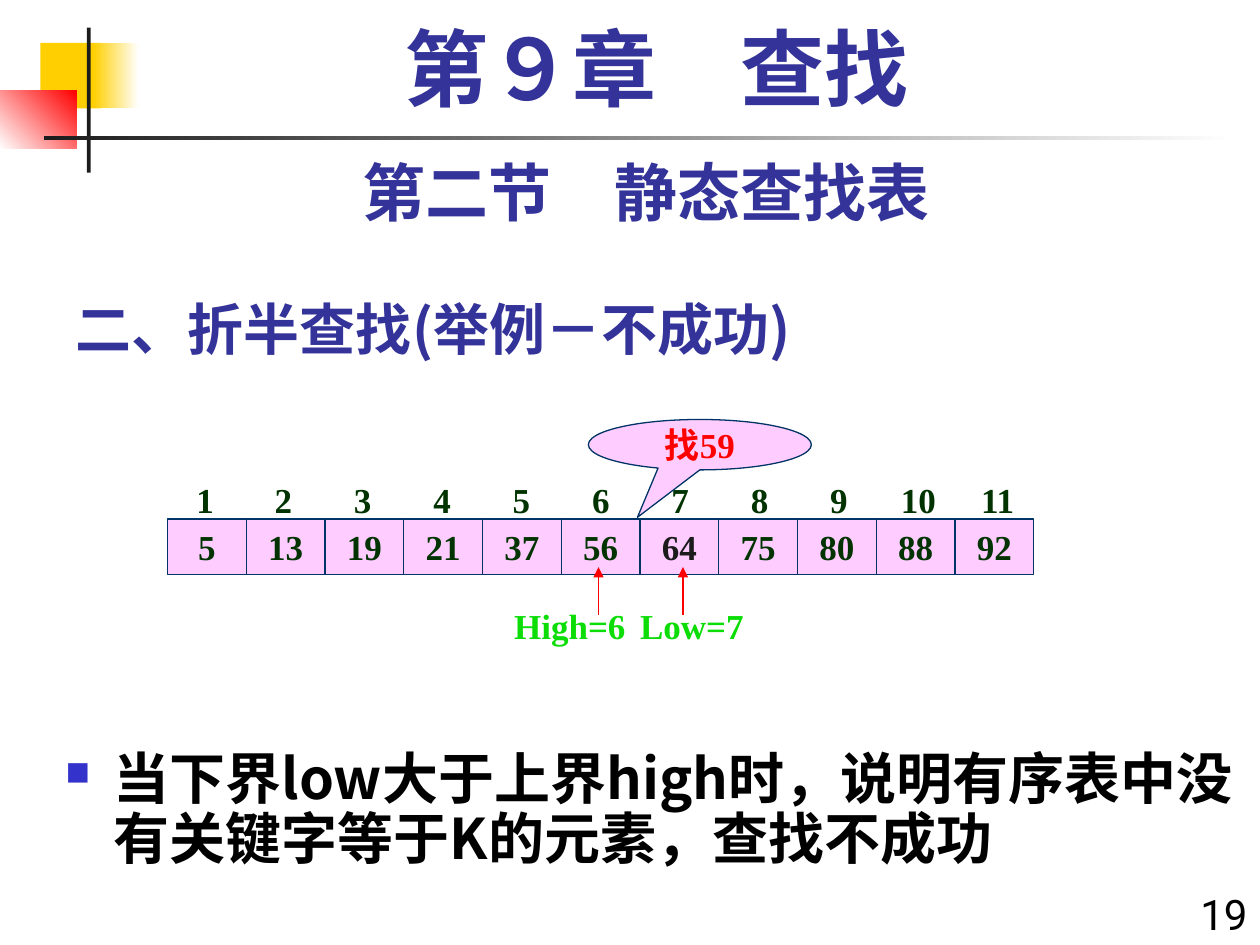
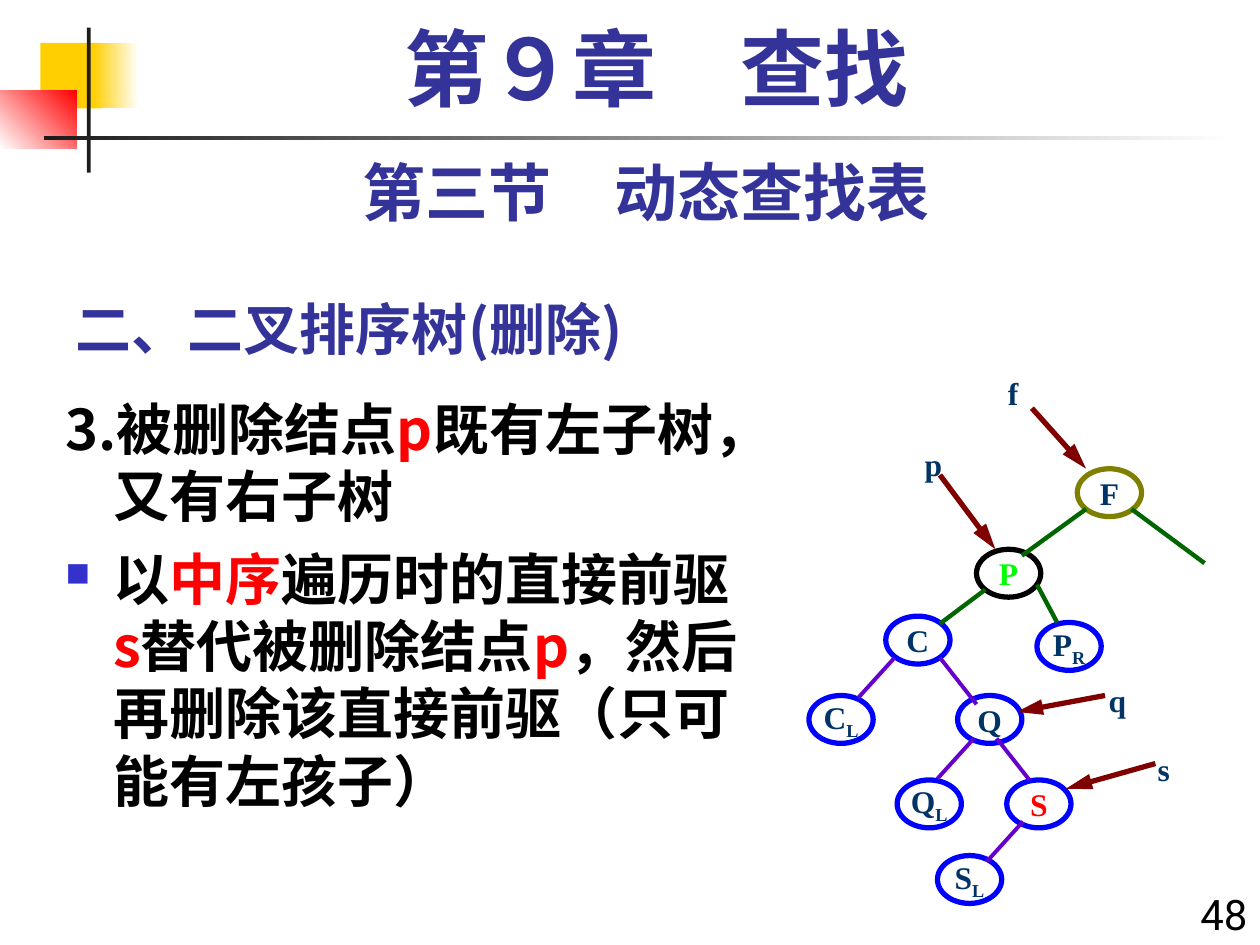
from lxml.etree import SubElement
from pptx import Presentation
from pptx.dml.color import RGBColor as Rgb
from pptx.enum.shapes import MSO_CONNECTOR as Link, MSO_SHAPE as Kind
from pptx.enum.text import MSO_ANCHOR as Anchor, MSO_AUTO_SIZE as Fit, PP_ALIGN as Align
from pptx.oxml.ns import qn
from pptx.util import Pt

PX = 9144  # 100 px to the inch
HAN, SERIF, SANS = "Noto Sans CJK SC", "Times New Roman", "Roboto"

HUES = {
    "white": "FFFFFF", "black": "000000", "ink": "1C1C1C", "gold": "FFCF01",
    "red": "FF0000", "title": "333399", "bullet": "3333CC", "pink": "FFCCFF",
    "navy": "003366", "moss": "003300", "mark": "0CDD07", "blue": "0000FF",
    "lime": "00FF00", "olive": "808000", "green": "006600",
    "violet": "6600CC", "maroon": "800000",
}

FONTS = {
    "chapter": {"name": SERIF, "size": Pt(48), "bold": True},
    "section": {"name": SANS, "size": Pt(36), "bold": True},
    "topic": {"name": HAN, "size": Pt(32), "bold": True},
    "page": {"name": SANS, "size": Pt(24)},
    "cell": {"name": SERIF, "size": Pt(20), "bold": True},
    "node": {"name": SERIF, "size": Pt(18), "bold": True},
}

CHAPTER = "第９章\u3000查找"
# box, first hue, last hue, angle
DECOR = [
    ((32, 34, 48, 52), "gold", None, 0),
    ((74, 34, 36, 52), "gold", "white", 0),
    ((0, 72, 61, 46), "white", "red", 45),
    ((69, 22, 3, 115), "ink", None, 0),
    ((35, 108, 945, 3), "ink", "white", 0),
]

SEARCH = {
    "topic": "二、折半查找(举例－不成功)",
    "section": "第二节\u3000静态查找表",
    "page": "19",
    "keys": [5, 13, 19, 21, 37, 56, 64, 75, 80, 88, 92],
    "seek": "找59",
    "bounds": [("High=6", 408, 125, 475), ("Low=7", 508, 100, 542)],
    "note": [("当下界low大于上界high时，说明有序表中没有关键字等于K的元素，查找不成功", "black")],
}

TREE = {
    "topic": "二、二叉排序树(删除)",
    "section": "第三节\u3000动态查找表",
    "page": "48",
    "notes": [
        [("3.被删除结点", "black"), ("p", "red"), ("既有左子树，又有右子树", "black")],
        [("以", "black"), ("中序", "red"), ("遍历时的直接前驱", "black"),
         ("s", "red"), ("替代被删除结点", "black"), ("p", "red"),
         ("，然后再删除该直接前驱（只可能有左孩子）", "black")],
    ],
    # label with subscript, left, top, ring hue, text hue
    "nodes": [
        ("F", 855, 372, "olive", "navy"), ("P", 775, 436, "black", "lime"),
        ("C", 703, 489, "blue", "navy"), ("P_R", 823, 494, "blue", "navy"),
        ("C_L", 642, 552, "blue", "navy"), ("Q", 760, 552, "blue", "navy"),
        ("Q_L", 712, 619, "blue", "navy"), ("S", 799, 619, "blue", "red"),
        ("S_L", 744, 679, "blue", "navy"),
    ],
    "upper": [
        (862, 404, 811, 441), (898, 404, 956, 447),
        (782, 468, 746, 495), (823, 464, 839, 494),
    ],
    "lower": [
        (710, 522, 681, 554), (746, 522, 775, 559), (773, 586, 744, 618),
        (791, 586, 817, 619), (812, 652, 783, 684),
    ],
    # name, left, top, arrow ends
    "hands": [
        ("f", 790, 292, (819, 324, 862, 372)),
        ("p", 724, 348, (746, 377, 790, 436)),
        ("q", 870, 536, (877, 552, 807, 565)),
        ("s", 909, 590, (917, 606, 846, 626)),
    ],
}


def emu(nums):
    return [round(n * PX) for n in nums]


def rgb(hue):
    return Rgb.from_string(HUES[hue])


def ink(para, text, style, hue, low=False):
    """Add one run; low makes it a subscript."""
    run = para.add_run()
    run.text = text
    for key, val in FONTS[style].items():
        setattr(run.font, key, val)
    run.font.color.rgb = rgb(hue)
    props = run._r.get_or_add_rPr()
    SubElement(props, qn("a:ea"), typeface=HAN)
    if low:
        props.set("baseline", "-25000")


def label(para, text, style, hue):
    """Write text in which an underscore starts a subscript."""
    base, _, sub = text.partition("_")
    ink(para, base, style, hue)
    if sub:
        ink(para, sub, style, hue, True)


def add_text(slide, box, text, style, hue, align=Align.LEFT, **frame):
    body = slide.shapes.add_textbox(*emu(box)).text_frame
    for key, val in {"word_wrap": True, **frame}.items():
        setattr(body, key, val)
    para = body.paragraphs[0]
    para.alignment = align
    if text:
        ink(para, text, style, hue)
    return body


def add_shape(slide, kind, box, fill=None, line=None, width=0.75):
    shape = slide.shapes.add_shape(kind, *emu(box))
    shape.shadow.inherit = False
    if fill:
        shape.fill.solid()
        shape.fill.fore_color.rgb = rgb(fill)
    else:
        shape.fill.background()
    if line:
        shape.line.color.rgb = rgb(line)
        shape.line.width = Pt(width)
    else:
        shape.line.fill.background()
    return shape


def fill_text(shape, text, style, hue):
    frame = shape.text_frame
    frame.word_wrap = False
    frame.vertical_anchor = Anchor.MIDDLE
    para = frame.paragraphs[0]
    para.alignment = Align.CENTER
    label(para, text, style, hue)


def add_line(slide, ends, hue, width, head=None):
    line = slide.shapes.add_connector(Link.STRAIGHT, *emu(ends))
    line.line.color.rgb = rgb(hue)
    line.line.width = Pt(width)
    if head:
        SubElement(line.line._get_or_add_ln(), qn("a:tailEnd"),
                   type="triangle", w="med", len=head)
    SubElement(line._element.spPr, qn("a:effectLst"))


def hang(para, bullet):
    """Give a hanging indent, with a square bullet if asked."""
    props = para._p.get_or_add_pPr()
    props.set("marL", str(38 * PX))
    props.set("indent", str(-38 * PX))
    if bullet:
        tint = SubElement(props, qn("a:buClr"))
        SubElement(tint, qn("a:srgbClr"), val=HUES["bullet"])
        SubElement(props, qn("a:buSzPct"), val="60000")
        SubElement(props, qn("a:buChar"), char="■")


def add_note(para, runs, bullet):
    hang(para, bullet)
    for text, hue in runs:
        ink(para, text, "topic", hue)


def start(deck, data):
    """Add a slide with the shared frame, titles and page number."""
    slide = deck.slides.add_slide(deck.slide_layouts[5])
    for box, hue, end, angle in DECOR:
        shape = add_shape(slide, Kind.RECTANGLE, box, hue)
        if end:
            shape.fill.gradient()
            shape.fill.gradient_angle = angle
            for stop, tone in zip(shape.fill.gradient_stops, (hue, end)):
                stop.color.rgb = rgb(tone)
    title = slide.shapes.title
    title.left, title.top, title.width, title.height = emu((50, 217, 625, 75))
    frame = title.text_frame
    frame.auto_size = Fit.NONE
    frame.vertical_anchor = Anchor.BOTTOM
    frame.paragraphs[0].alignment = Align.LEFT
    ink(frame.paragraphs[0], data["topic"], "topic", "title")
    add_text(slide, (933, 700, 67, 50), data["page"], "page", "black", Align.RIGHT)
    add_text(slide, (50, 117, 925, 70), data["section"], "section", "title", Align.CENTER)
    head = add_text(slide, (67, 17, 908, 83), CHAPTER, "chapter", "title", Align.CENTER)
    head.paragraphs[0].line_spacing = 0.9
    return slide


def draw_search(deck):
    slide = start(deck, SEARCH)
    note = add_text(slide, (42, 308, 958, 442), "", "topic", "black", margin_top=288 * PX)
    add_note(note.paragraphs[0], SEARCH["note"], True)
    note.paragraphs[0].line_spacing = 0.9

    keys = SEARCH["keys"]
    row = add_text(slide, (146, 375, 708, 43), "", "cell", "moss")
    para = row.paragraphs[0]
    tabs = SubElement(para._p.get_or_add_pPr(), qn("a:tabLst"))
    for i in range(len(keys)):
        SubElement(tabs, qn("a:tab"), pos=str((6 + 63 * i) * PX), algn="ctr")
    ink(para, "".join(f"\t{i + 1}" for i in range(len(keys))), "cell", "moss")
    for i, key in enumerate(keys):
        cell = add_shape(slide, Kind.RECTANGLE, (133 + 62.5 * i, 412, 62.5, 44), "pink", "navy")
        fill_text(cell, str(key), "cell", "ink" if key == 64 else "moss")

    for text, left, width, x in SEARCH["bounds"]:
        add_line(slide, (x, 488, x, 450), "red", 1, "med")
        add_text(slide, (left, 475, width, 43), text, "cell", "mark",
                 margin_left=0, margin_right=0)
    call = add_shape(slide, Kind.OVAL_CALLOUT, (467, 333, 177, 40), "pink", "navy")
    call.adjustments[0], call.adjustments[1] = -0.28, 1.44
    fill_text(call, SEARCH["seek"], "cell", "red")


def draw_tree(deck):
    slide = start(deck, TREE)
    body = add_text(slide, (42, 308, 567, 442), "", "topic", "black")
    for i, runs in enumerate(TREE["notes"]):
        para = body.add_paragraph() if i else body.paragraphs[0]
        add_note(para, runs, i > 0)
        if i:
            para.space_before = Pt(9)

    for text, left, top, ring, hue in TREE["nodes"]:
        node = add_shape(slide, Kind.OVAL, (left, top, 51, 38), None, ring, 3)
        fill_text(node, text, "node", hue)
    for part, hue, width in (("upper", "green", 2.5), ("lower", "violet", 2.25)):
        for ends in TREE[part]:
            add_line(slide, ends, hue, width)
    for name, left, top, ends in TREE["hands"]:
        add_text(slide, (left, top, 34, 40), name, "node", "navy")
        add_line(slide, ends, "maroon", 3, "lg")


def main():
    deck = Presentation()
    deck.slide_width, deck.slide_height = emu((1000, 750))
    draw_search(deck)
    draw_tree(deck)
    deck.save("out.pptx")


if __name__ == "__main__":
    main()
